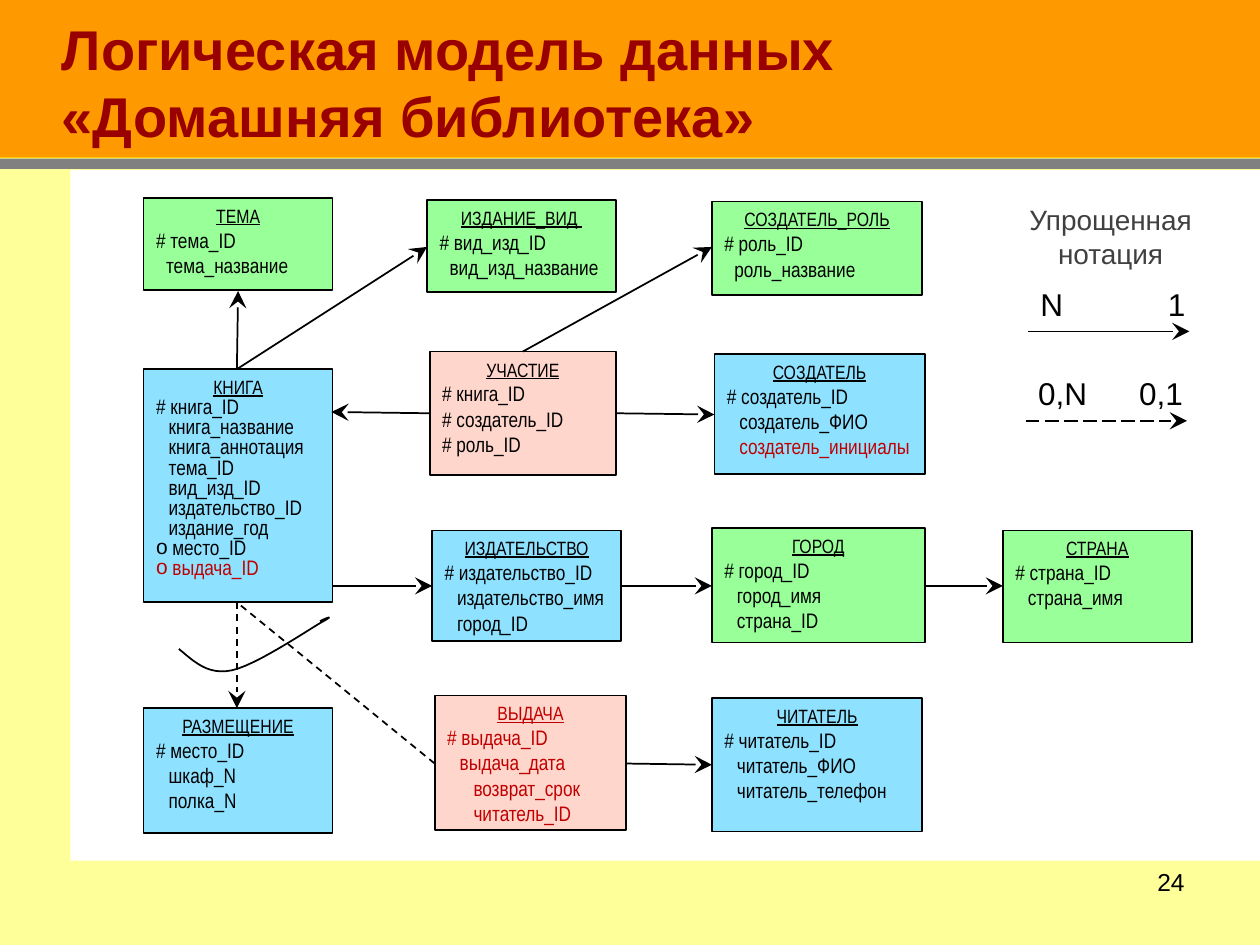
from lxml.etree import SubElement
from pptx import Presentation
from pptx.dml.color import RGBColor
from pptx.enum.dml import MSO_LINE
from pptx.enum.shapes import MSO_CONNECTOR, MSO_SHAPE
from pptx.enum.text import MSO_ANCHOR, MSO_AUTO_SIZE, PP_ALIGN
from pptx.oxml.ns import qn
from pptx.util import Inches, Pt

BLUE, GREEN, PINK = "8FE2FF", "99FF99", "FFD6CC"
BLACK, RED = "000000", "C00000"

# Left, top, width, height, fill, line spacing, heading, attributes.
# "# " starts a key, "o " an optional attribute, ">" a deeper one; "!" means red.
ENTITIES = [
    (1.14, 1.57, 1.5, 0.73, GREEN, 1, "ТЕМА", ["# тема_ID", "тема_название"]),
    (3.39, 1.59, 1.5, 0.73, GREEN, 1, "ИЗДАНИЕ_ВИД ",
     ["# вид_изд_ID", "вид_изд_название"]),
    (5.65, 1.6, 1.67, 0.74, GREEN, 1, "СОЗДАТЕЛЬ_РОЛЬ",
     ["# роль_ID", "роль_название"]),
    (1.14, 2.93, 1.5, 1.85, BLUE, 0.8, "КНИГА",
     ["# книга_ID", "книга_название", "книга_аннотация", "тема_ID", "вид_изд_ID",
      "издательство_ID", "издание_год", "o место_ID", "!o выдача_ID"]),
    (3.41, 2.79, 1.48, 0.98, PINK, 1, "УЧАСТИЕ",
     ["# книга_ID", "# создатель_ID", "# роль_ID"]),
    (5.67, 2.81, 1.67, 0.95, BLUE, 1, "СОЗДАТЕЛЬ",
     ["# создатель_ID", "создатель_ФИО", "!создатель_инициалы"]),
    (3.43, 4.21, 1.5, 0.88, BLUE, 1, "ИЗДАТЕЛЬСТВО",
     ["# издательство_ID", "издательство_имя", "город_ID"]),
    (5.65, 4.19, 1.69, 0.91, GREEN, 1, "ГОРОД",
     ["# город_ID", "город_имя", "страна_ID"]),
    (7.96, 4.21, 1.5, 0.89, GREEN, 1, "СТРАНА", ["# страна_ID", "страна_имя"]),
    (1.14, 5.62, 1.5, 0.99, BLUE, 1, "РАЗМЕЩЕНИЕ",
     ["# место_ID", "шкаф_N", "полка_N"]),
    (3.45, 5.52, 1.52, 1.07, PINK, 1, "!ВЫДАЧА",
     ["!# выдача_ID", "!выдача_дата", "!>возврат_срок", "!>читатель_ID"]),
    (5.65, 5.54, 1.67, 1.06, BLUE, 1, "ЧИТАТЕЛЬ",
     ["# читатель_ID", "читатель_ФИО", "читатель_телефон"]),
]

# Start and end of each solid arrow
RELATIONS = [
    (1.88, 2.93, 1.89, 2.31), (1.88, 2.93, 3.39, 1.96), (4.15, 2.79, 5.65, 1.96),
    (3.41, 3.28, 2.63, 3.27), (4.89, 3.28, 5.67, 3.29), (2.64, 4.65, 3.43, 4.65),
    (4.93, 4.65, 5.65, 4.65), (7.34, 4.65, 7.96, 4.65), (4.97, 6.06, 5.65, 6.07),
]

# Arc across the two exclusive relations: start, then cubic segments
ARC_START = (1.42, 5.15)
ARC_CURVES = [
    ((1.54, 5.25), (1.65, 5.36), (1.84, 5.32)),
    ((2.03, 5.28), (2.43, 5.01), (2.55, 4.94)),
    ((2.66, 4.88), (2.6, 4.9), (2.54, 4.93)),
]


def color(value):
    return RGBColor.from_string(value)


def add_run(paragraph, text, size, font, text_color=BLACK, bold=None, underline=None):
    run = paragraph.add_run()
    run.text = text
    run.font.size, run.font.name = Pt(size), font
    run.font.bold, run.font.underline = bold, underline
    run.font.color.rgb = color(text_color)


def add_box(slide, left, top, width, height, fill, outlined=False):
    shape = slide.shapes.add_shape(
        MSO_SHAPE.RECTANGLE, Inches(left), Inches(top), Inches(width), Inches(height))
    shape.shadow.inherit = False
    shape.fill.solid()
    shape.fill.fore_color.rgb = color(fill)
    if outlined:
        shape.line.color.rgb = color(BLACK)
        shape.line.width = Pt(1)
    else:
        shape.line.fill.background()
    return shape


def add_line(slide, x1, y1, x2, y2, dash=None, arrow=True, line_color=BLACK):
    line = slide.shapes.add_connector(
        MSO_CONNECTOR.STRAIGHT, Inches(x1), Inches(y1), Inches(x2), Inches(y2))
    line.line.color.rgb = color(line_color)
    line.line.width = Pt(1)
    if dash:
        line.line.dash_style = dash
    if arrow:
        SubElement(line.line._get_or_add_ln(), qn("a:tailEnd"),
                   type="stealth", w="lg", len="lg")
    SubElement(line._element.spPr, qn("a:effectLst"))


def add_text(slide, left, top, width, height, text, size, align, text_color=BLACK):
    box = slide.shapes.add_textbox(
        Inches(left), Inches(top), Inches(width), Inches(height))
    box.text_frame.word_wrap = True
    paragraph = box.text_frame.paragraphs[0]
    paragraph.alignment = align
    add_run(paragraph, text, size, "Arial", text_color)
    return paragraph


def set_indent(paragraph, left, bullet=None):
    properties = paragraph._p.get_or_add_pPr()
    properties.set("marL", str(Inches(left)))
    if bullet:
        properties.set("indent", str(-Inches(left)))
        SubElement(properties, qn("a:buFont"), typeface="Arial")
        SubElement(properties, qn("a:buChar"), char=bullet)


def split_color(text):
    return (text[1:], RED) if text.startswith("!") else (text, BLACK)


def add_entity(slide, left, top, width, height, fill, spacing, heading, attributes):
    frame = add_box(slide, left, top, width, height, fill, True).text_frame
    frame.word_wrap = True
    frame.vertical_anchor = MSO_ANCHOR.TOP
    paragraph = frame.paragraphs[0]
    paragraph.alignment = PP_ALIGN.CENTER
    text, text_color = split_color(heading)
    add_run(paragraph, text, 11, "Arial Narrow", text_color, underline=True)
    for attribute in attributes:
        text, text_color = split_color(attribute)
        paragraph = frame.add_paragraph()
        paragraph.alignment = PP_ALIGN.LEFT
        paragraph.line_spacing = spacing
        if text.startswith("o "):
            set_indent(paragraph, 0.13, "o")
            text = text[2:]
        elif text.startswith(">"):
            set_indent(paragraph, 0.21)
            text = text[1:]
        elif not text.startswith("#"):
            set_indent(paragraph, 0.1 if len(attributes) > 2 or top > 2 else 0.08)
        add_run(paragraph, text, 12, "Arial Narrow", text_color)


def add_arc(slide, start, curves, steps=12):
    points = []
    origin = start
    for first, second, end in curves:
        for step in range(1, steps + 1):
            t = step / steps
            points.append(tuple(
                Inches((1 - t) ** 3 * a + 3 * (1 - t) ** 2 * t * b
                       + 3 * (1 - t) * t ** 2 * c + t ** 3 * d)
                for a, b, c, d in zip(origin, first, second, end)))
        origin = end
    builder = slide.shapes.build_freeform(Inches(start[0]), Inches(start[1]))
    builder.add_line_segments(points, close=False)
    arc = builder.convert_to_shape()
    arc.shadow.inherit = False
    arc.fill.background()
    arc.line.color.rgb = color(BLACK)
    arc.line.width = Pt(1)


def add_notation(slide, left, top, text, dash=None):
    add_line(slide, left, top + 0.42, left + 1.28, top + 0.42, dash)
    paragraph = add_text(slide, left, top, 1.5, 0.4, text, 18, PP_ALIGN.LEFT)
    tabs = SubElement(paragraph._p.get_or_add_pPr(), qn("a:tabLst"))
    SubElement(tabs, qn("a:tab"), pos=str(Inches(1.15)), algn="r")


def set_title(slide, lines):
    title = slide.shapes.title
    title.left, title.top = Inches(0), Inches(0.06)
    title.width, title.height = Inches(10), Inches(1.17)
    slide.shapes._spTree.append(title._element)  # in front of the bands
    frame = title.text_frame
    frame.auto_size = MSO_AUTO_SIZE.NONE
    frame.vertical_anchor = MSO_ANCHOR.BOTTOM
    paragraph = frame.paragraphs[0]
    paragraph.alignment = PP_ALIGN.LEFT
    set_indent(paragraph, 0.39)
    for index, line in enumerate(lines):
        if index:
            paragraph.add_line_break()
        add_run(paragraph, line, 32, "Arial", "990000", bold=True)


def main():
    presentation = Presentation()
    presentation.slide_width, presentation.slide_height = Inches(10), Inches(7.5)
    slide = presentation.slides.add_slide(presentation.slide_layouts[5])

    # Bands, title and page number
    add_box(slide, 0, 0, 10, 1.25, "FF9900")
    add_box(slide, 0, 1.25, 10, 6.25, "FFFF99")
    add_box(slide, 0, 1.26, 10, 0.08, "808080")
    add_line(slide, 0, 1.25, 10, 1.25, arrow=False, line_color="FFCC00")
    set_title(slide, ["Логическая модель данных", "«Домашняя библиотека»"])
    add_text(slide, 7.17, 6.83, 2.33, 0.52, "24", 14, PP_ALIGN.RIGHT)
    add_box(slide, 0.56, 1.35, 9.44, 5.48, "FFFFFF")

    # Entities and relations
    for entity in ENTITIES:
        add_entity(slide, *entity)
    for relation in RELATIONS:
        add_line(slide, *relation)
    add_line(slide, 1.88, 4.78, 1.88, 5.62, MSO_LINE.DASH)
    add_line(slide, 3.45, 6.06, 1.88, 4.78, MSO_LINE.DASH, arrow=False)
    add_arc(slide, ARC_START, ARC_CURVES)

    # Notation key
    add_text(slide, 8, 1.56, 1.63, 0.64, "Упрощенная нотация", 16,
             PP_ALIGN.CENTER, "404040")
    add_notation(slide, 8.16, 2.21, "N\t1")
    add_notation(slide, 8.14, 2.92, "0,N\t0,1", MSO_LINE.LONG_DASH)

    presentation.save("out.pptx")


if __name__ == "__main__":
    main()
